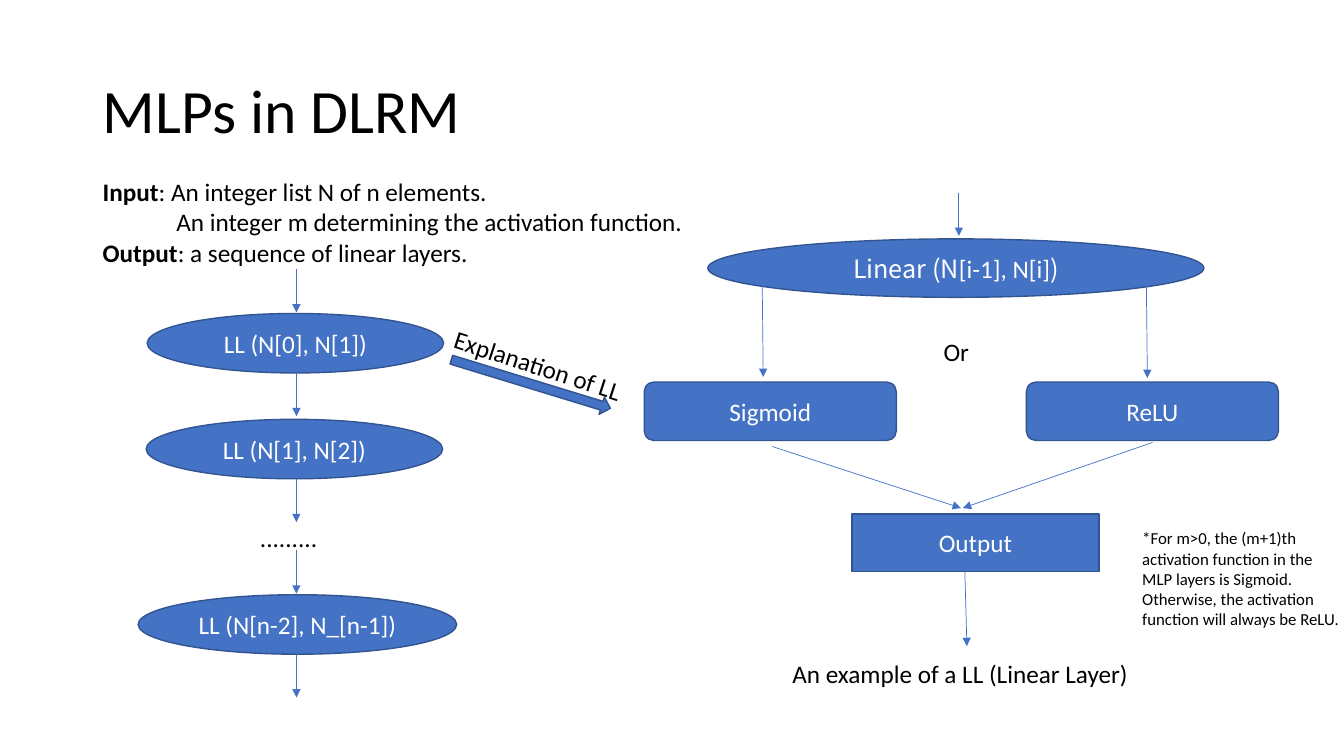
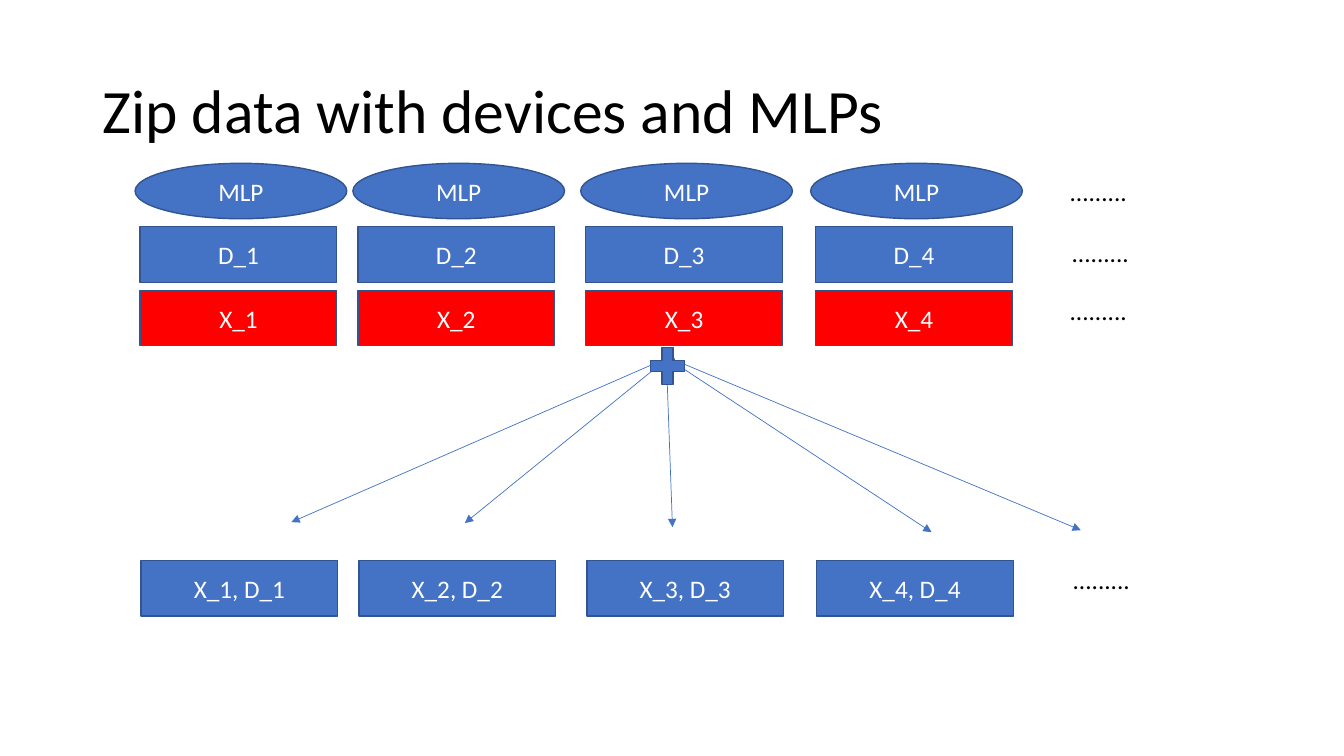
import pptx
import pptx.dml.color
import pptx.enum.shapes
import pptx.enum.text
import pptx.oxml
import pptx.oxml.ns
import pptx.util
from pptx.util import Inches

SHAPES = pptx.enum.shapes.MSO_SHAPE
ANCHOR = pptx.enum.text.MSO_ANCHOR
color = pptx.dml.color.RGBColor.from_string

BLUE, OUTLINE, RED = "4472C4", "325491", "FF0000"
WHITE, BLACK = "FFFFFF", "000000"
DOTS = "........."


def add_box(slide, kind, at, text="", fill=BLUE, size=18, rotation=0):
    """Add a filled shape, or a text box when kind is None.

    Text is a string, or a list of paragraphs, each a list of (text, font values).
    """
    lengths = [Inches(value) for value in at]
    if kind is None:
        shape = slide.shapes.add_textbox(*lengths)
        frame_format = {"word_wrap": True,
                        "auto_size": pptx.enum.text.MSO_AUTO_SIZE.SHAPE_TO_FIT_TEXT}
        alignment, text_color = pptx.enum.text.PP_ALIGN.LEFT, BLACK
    else:
        shape = slide.shapes.add_shape(kind, *lengths)
        shape.shadow.inherit = False
        shape.fill.solid()
        shape.fill.fore_color.rgb = color(fill)
        shape.line.color.rgb = color(OUTLINE)
        shape.line.width = pptx.util.Pt(1)
        frame_format = {"word_wrap": True, "vertical_anchor": ANCHOR.MIDDLE}
        alignment, text_color = pptx.enum.text.PP_ALIGN.CENTER, WHITE
    shape.rotation = rotation
    frame = shape.text_frame
    for name, value in frame_format.items():
        setattr(frame, name, value)

    paragraphs = [[(text, {})]] if isinstance(text, str) else text
    for index, runs in enumerate(paragraphs):
        paragraph = frame.add_paragraph() if index else frame.paragraphs[0]
        paragraph.alignment = alignment
        for run_text, run_format in runs:
            if not run_text:
                continue
            run = paragraph.add_run()
            run.text = run_text
            run.font.color.rgb = color(text_color)
            font_format = {"name": "Calibri", "size": pptx.util.Pt(size), **run_format}
            for name, value in font_format.items():
                setattr(run.font, name, value)
    return shape


def add_arrow(slide, start, end):
    connector = slide.shapes.add_connector(
        pptx.enum.shapes.MSO_CONNECTOR.STRAIGHT,
        *[Inches(value) for value in (*start, *end)])
    connector.line.color.rgb = color(BLUE)
    connector.line.width = pptx.util.Pt(0.5)
    namespace = pptx.oxml.ns.nsdecls("a")
    connector.line._get_or_add_ln().append(
        pptx.oxml.parse_xml(f'<a:tailEnd {namespace} type="triangle"/>'))
    connector._element.spPr.append(pptx.oxml.parse_xml(f"<a:effectLst {namespace}/>"))


presentation = pptx.Presentation()
presentation.slide_width = Inches(13.33)
presentation.slide_height = Inches(7.5)

slides = []
for title_text in ("MLPs in DLRM", "Zip data with devices and MLPs"):
    slide = presentation.slides.add_slide(presentation.slide_layouts[6])
    title = add_box(slide, None, (0.92, 0.4, 11.5, 1.45), title_text, size=44)
    title.text_frame.auto_size = pptx.enum.text.MSO_AUTO_SIZE.NONE
    title.text_frame.vertical_anchor = ANCHOR.MIDDLE
    title.text_frame.paragraphs[0].line_spacing = 0.9
    slides.append(slide)
mlp_slide, zip_slide = slides

# MLPs: the chain of linear layers
signature = add_box(mlp_slide, None, (0.92, 1.7, 7.99, 1.01), [
    [("Input", {"bold": True}), (": An integer list N of n elements.", {})],
    [("An integer m determining the activation function.", {})],
    [("Output", {"bold": True}), (": a sequence of linear layers.", {})],
])
second_input = signature.text_frame.paragraphs[1]
second_input._p.get_or_add_pPr().set("marL", str(Inches(0.73)))

for left, top, width, label in (
    (1.46, 3.11, 2.94, "LL (N[0], N[1])"),
    (1.45, 4.16, 2.94, "LL (N[1], N[2])"),
    (1.37, 5.9, 3.16, "LL (N[n-2], N_[n-1])"),
):
    add_box(mlp_slide, SHAPES.OVAL, (left, top, width, 0.59), label)
for top in (2.67, 3.7, 4.75, 5.46, 6.49):
    add_arrow(mlp_slide, (2.94, top), (2.94, top + 0.43))
add_box(mlp_slide, None, (2.48, 5.13, 3, 0.4), DOTS)

# MLPs: one linear layer explained
cjk_font = {"name": "Noto Sans CJK SC"}
add_box(mlp_slide, SHAPES.OVAL, (7.02, 2.37, 4.92, 0.58),
        [[("Linear (N", cjk_font), ("[i-1], N[i]", {}), (")", cjk_font)]])
for left, label in ((6.39, "Sigmoid"), (10.18, "ReLU")):
    add_box(mlp_slide, SHAPES.ROUNDED_RECTANGLE, (left, 3.79, 2.5, 0.58), label)
add_box(mlp_slide, SHAPES.RECTANGLE, (8.45, 5.1, 2.45, 0.57), "Output")
for start, end in (
    ((9.51, 1.91), (9.51, 2.34)),
    ((7.56, 2.82), (7.57, 3.74)),
    ((11.37, 2.82), (11.38, 3.75)),
    ((7.66, 4.43), (9.53, 5.04)),
    ((11.43, 4.39), (9.55, 5.04)),
    ((9.57, 5.67), (9.59, 6.41)),
):
    add_arrow(mlp_slide, start, end)
add_box(mlp_slide, None, (9.26, 3.29, 0.98, 0.4), "Or")
add_box(mlp_slide, None, (7.76, 6.48, 4.71, 0.4), "An example of a LL (Linear Layer)")
add_box(mlp_slide, None, (11.23, 5.19, 2.18, 1.51),
        "*For m>0, the (m+1)th activation function in the MLP layers is "
        "Sigmoid. Otherwise, the activation function will always be ReLU.", size=12)
add_box(mlp_slide, SHAPES.RIGHT_ARROW, (4.44, 3.72, 1.65, 0.18), rotation=17)
add_box(mlp_slide, None, (4.35, 3.59, 3, 0.4), "Explanation of LL", rotation=18)

# Zip: rows of MLPs, devices, data and zipped pairs
column_lefts = (1.39, 3.55, 5.81, 8.09)
for kind, offset, top, width, label, fill in (
    (SHAPES.OVAL, -0.05, 1.62, 2.1, "MLP", BLUE),
    (SHAPES.RECTANGLE, 0, 2.25, 1.95, "D_{0}", BLUE),
    (SHAPES.RECTANGLE, 0, 2.88, 1.95, "X_{0}", RED),
    (SHAPES.RECTANGLE, 0.01, 5.56, 1.95, "X_{0}, D_{0}", BLUE),
):
    for number, left in enumerate(column_lefts, start=1):
        add_box(zip_slide, kind, (left + offset, top, width, 0.55),
                label.format(number), fill)
for left, top in ((10.51, 1.7), (10.53, 2.31), (10.51, 2.88), (10.54, 5.55)):
    add_box(zip_slide, None, (left, top, 0.97, 0.4), DOTS)

for start, end in (
    ((6.6, 3.56), (2.89, 5.18)),
    ((6.59, 3.58), (4.61, 5.19)),
    ((6.61, 3.58), (6.67, 5.23)),
    ((6.66, 3.58), (9.24, 5.28)),
    ((6.66, 3.56), (10.72, 5.26)),
):
    add_arrow(zip_slide, start, end)
add_box(zip_slide, SHAPES.OVAL, (6.59, 3.53, 0.1, 0.11))
add_box(zip_slide, SHAPES.MATH_PLUS, (6.39, 3.38, 0.46, 0.5))

presentation.save("out.pptx")
